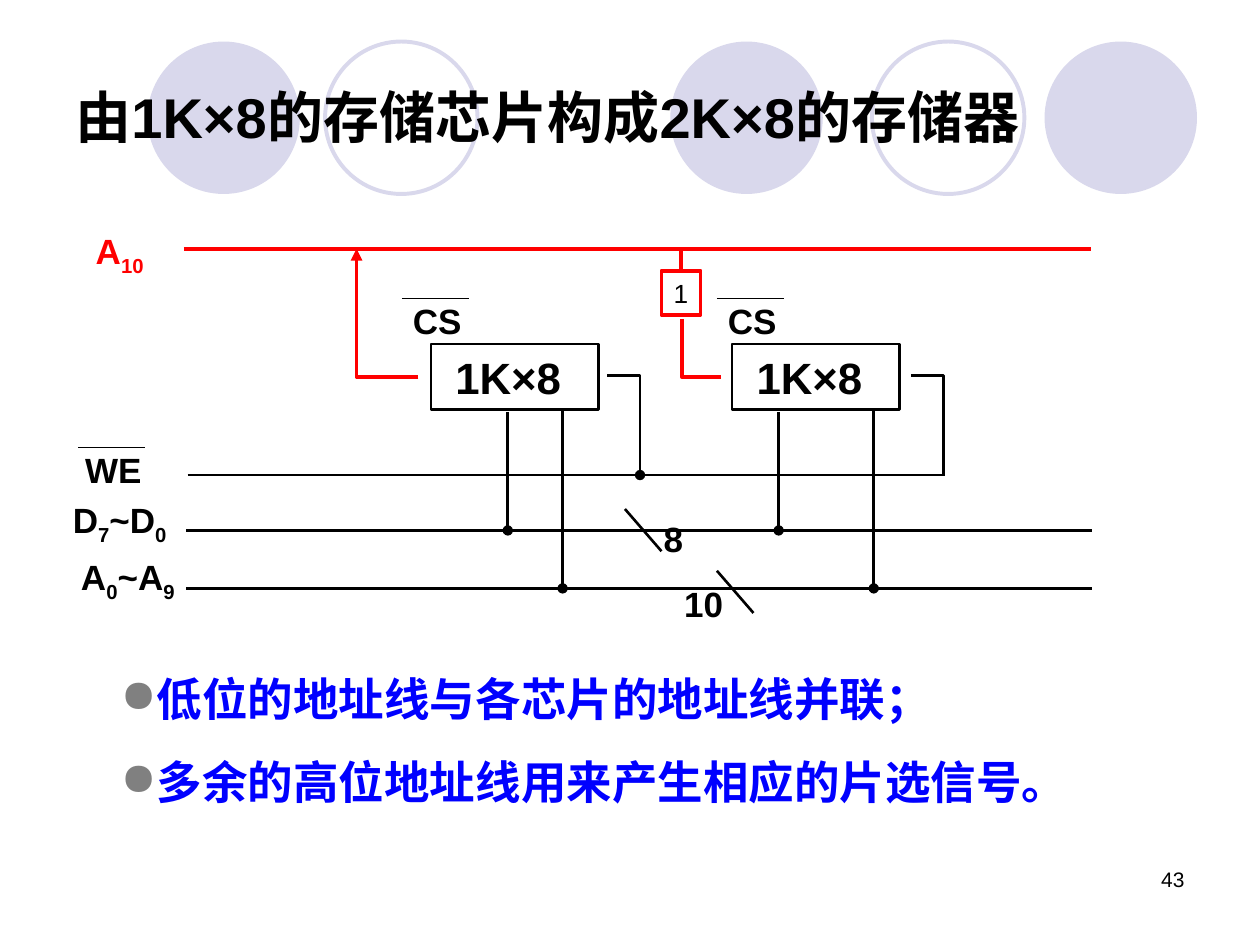
from lxml.etree import SubElement
from pptx import Presentation
from pptx.dml.color import RGBColor
from pptx.enum.shapes import MSO_CONNECTOR, MSO_SHAPE
from pptx.enum.text import MSO_ANCHOR, PP_ALIGN
from pptx.oxml.ns import qn
from pptx.util import Inches, Pt

BLACK, RED, BLUE = "000000", "FF0000", "0000FF"
WHITE, GREY, LILAC = "FFFFFF", "808080", "D9D8EC"


def paint(code):
    """Turn a hex string into a colour."""
    return RGBColor.from_string(code)


class Board:
    """Draws on one slide, on a grid of 100 columns by 75 rows."""

    def __init__(self, deck):
        self.face = "Arial"
        self.unit = deck.slide_width / 100
        self.slide = deck.slides.add_slide(deck.slide_layouts[6])

    def grid(self, *spots):
        """Turn grid steps into slide lengths."""
        return [round(spot * self.unit) for spot in spots]

    def style(self, para, size, color, bold):
        """Set the font of a whole paragraph."""
        font = para.font
        font.name, font.size, font.bold = self.face, Pt(size), bold
        font.color.rgb = paint(color)

    def shape(self, kind, spot, fill=None, line=None, width=2.25):
        """Add a preset shape."""
        item = self.slide.shapes.add_shape(kind, *self.grid(*spot))
        item.shadow.inherit = False
        if fill:
            item.fill.solid()
            item.fill.fore_color.rgb = paint(fill)
        else:
            item.fill.background()
        if line:
            item.line.color.rgb = paint(line)
            item.line.width = Pt(width)
        else:
            item.line.fill.background()
        return item

    def block(self, spot, text, size, color=BLACK, width=1.5, bold=True, pad=0.1):
        """Add a framed box with centred text."""
        item = self.shape(MSO_SHAPE.RECTANGLE, spot, WHITE, color, width)
        frame = item.text_frame
        frame.word_wrap = False
        frame.vertical_anchor = MSO_ANCHOR.MIDDLE
        frame.margin_right = Inches(pad)
        para = frame.paragraphs[0]
        para.text, para.alignment = text, PP_ALIGN.CENTER
        self.style(para, size, BLACK, bold)
        return item

    def text(self, spot, text, size=20, color=BLACK, bold=True,
             align=PP_ALIGN.CENTER, anchor=MSO_ANCHOR.TOP):
        """Add a line of text; every second part between bars is a subscript."""
        frame = self.slide.shapes.add_textbox(*self.grid(*spot)).text_frame
        frame.word_wrap, frame.vertical_anchor = True, anchor
        para = frame.paragraphs[0]
        para.alignment = align
        for rank, part in enumerate(text.split("|")):
            run = para.add_run()
            run.text = part
            if rank % 2:
                run._r.get_or_add_rPr().set("baseline", "-25000")
        self.style(para, size, color, bold)

    def points(self, spot, lines, size, color):
        """Add a bulleted list."""
        frame = self.slide.shapes.add_textbox(*self.grid(*spot)).text_frame
        frame.word_wrap = True
        for rank, line in enumerate(lines):
            para = frame.add_paragraph() if rank else frame.paragraphs[0]
            para.text = line
            props = para._p.get_or_add_pPr()
            props.set("marL", str(Inches(0.25)))
            props.set("indent", str(-Inches(0.25)))
            tint = SubElement(props, qn("a:buClr"))
            SubElement(tint, qn("a:srgbClr"), val=GREY)
            SubElement(props, qn("a:buChar"), char="●")
            if rank:
                para.space_before = Pt(16.2)
            self.style(para, size, color, True)

    def wire(self, ends, color=BLACK, width=1.5, tip=None, bent=False):
        """Add a line; a bent one runs level first, then upright."""
        kind = MSO_CONNECTOR.ELBOW if bent else MSO_CONNECTOR.STRAIGHT
        item = self.slide.shapes.add_connector(kind, *self.grid(*ends))
        item.line.color.rgb = paint(color)
        item.line.width = Pt(width)
        props = item._element.spPr
        if bent:
            props.find(qn("a:prstGeom")).set("prst", "bentConnector2")
        if tip:
            SubElement(props.find(qn("a:ln")), qn("a:tailEnd"), type=tip)
        SubElement(props, qn("a:effectLst"))
        return item

    def negated(self, left, top, text):
        """Add a signal name with a bar above it."""
        self.text((left, top, 11, 4.4), text)
        self.wire((left + 2.7, top + 0.4, left + 8, top + 0.4), width=0.75)


def main():
    """Build the slide and save it."""
    deck = Presentation()
    deck.slide_width, deck.slide_height = Inches(10), Inches(7.5)
    board = Board(deck)

    for left in (53.2, 82.9, 11.7):
        board.shape(MSO_SHAPE.OVAL, (left, 3.3, 12.1, 12.1), fill=LILAC)
    for left in (69.2, 25.8):
        board.shape(MSO_SHAPE.OVAL, (left, 3.3, 12.1, 12.1), line=LILAC)
    board.text((5, 3, 90, 12.5), "由1K×8的存储芯片构成2K×8的存储器", 32,
               align=PP_ALIGN.LEFT, anchor=MSO_ANCHOR.MIDDLE)
    board.text((71.7, 68.3, 23.3, 5), "43", 12, bold=False, align=PP_ALIGN.RIGHT)

    high, write, data, low = 19.75, 37.7, 42.1, 46.7
    board.wire((14.6, high, 86.6, high), RED, 2.25)
    board.wire((14.9, write, 75, write))
    for row in (data, low):
        board.wire((14.8, row, 86.7, row))

    chips = ((34.2, 40.3, 44.65, 48.2, 29.2, "oval"),
             (58.1, 61.8, 69.35, 72.3, 54.2, None))
    for left, pin, leg, out, name, tip in chips:
        board.block((left, 27.3, 13.3, 5.2), "1K×8", 25, pad=0.2)
        board.wire((pin, 32.7, pin, data), tip="oval")
        board.wire((leg, 32.4, leg, low), tip="oval")
        board.wire((out, 29.8, out + 2.6, write), tip=tip, bent=True)
        board.negated(name, 23.3, "CS")

    board.wire((33.2, 29.9, 28.3, high), RED, 2.25, "triangle", True)
    gate = board.block((52.5, 21.5, 3.1, 3.5), "1", 15, RED, 2.25, False)
    board.wire((54.05, high, 54.05, 21.5), RED, 2.25).end_connect(gate, 0)
    board.wire((57.2, 29.9, 54.1, 25.3), RED, 2.25, bent=True)

    board.text((5.4, 17.7, 8.2, 4.8), "A|10", color=RED)
    board.negated(3.5, 35.1, "WE")
    board.text((4, 39.1, 11, 4.8), "D|7|~D|0")
    board.text((4.8, 43.6, 10.7, 4.8), "A|0|~A|9")
    for left, top, spot, count in ((49.6, 40.4, (50.9, 40.6), "8"),
                                   (56.9, 45.3, (53.3, 45.7), "10")):
        board.wire((left, top, left + 2.9, top + 3.35))
        board.text((*spot, 5.1, 4.4), count)

    board.points((8.6, 52.8, 81.5, 11.9),
                 ("低位的地址线与各芯片的地址线并联；",
                  "多余的高位地址线用来产生相应的片选信号。"), 26, BLUE)
    deck.save("out.pptx")


if __name__ == "__main__":
    main()
